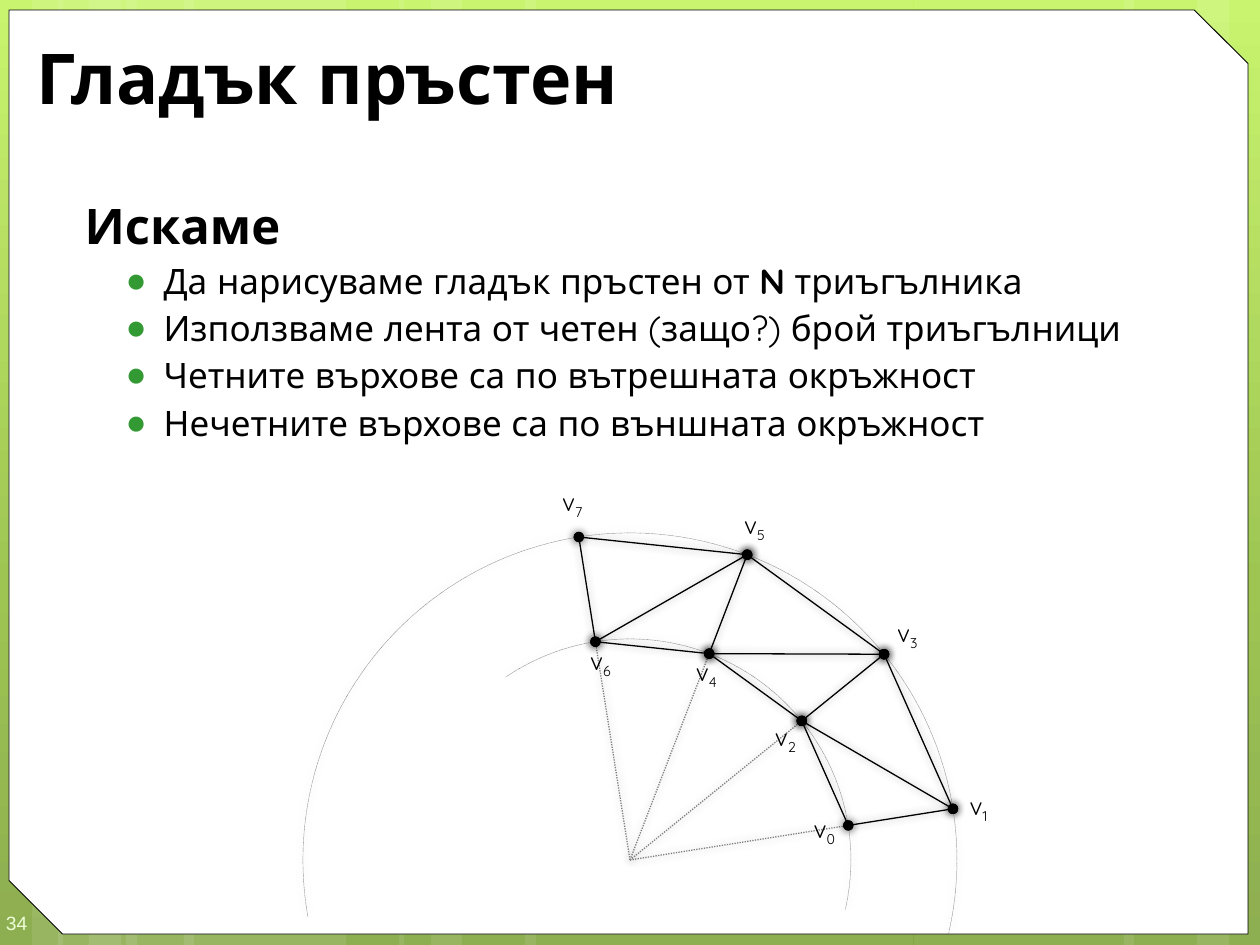
from copy import deepcopy
from math import cos, radians, sin

from lxml.etree import SubElement
from pptx import Presentation
from pptx.dml.color import RGBColor
from pptx.enum.dml import MSO_LINE
from pptx.enum.shapes import MSO_CONNECTOR, MSO_SHAPE
from pptx.enum.text import MSO_ANCHOR, MSO_AUTO_SIZE, PP_ALIGN
from pptx.oxml.ns import qn
from pptx.util import Emu, Pt

EMU_PER_PX = 914400 / 126
FONT = "Quicksand"
BLACK = RGBColor(0, 0, 0)
WHITE = RGBColor(255, 255, 255)
GRAY = RGBColor(0x80, 0x80, 0x80)
PALE_GREEN = RGBColor(0xEE, 0xFF, 0xD6)
BACKGROUND_STOPS = [
    (0, RGBColor(0xC3, 0xF3, 0x5F)),
    (0.62, RGBColor(0x93, 0xBF, 0x3F)),
    (1, RGBColor(0x81, 0xA5, 0x3E)),
]
BULLET_GREEN = "339933"

# left edge and width of each background stripe
STRIPES = [(126, 220), (0, 63), (32, 105), (184, 220), (58, 63), (89, 105),
           (914, 220), (1197, 63), (1124, 105), (525, 388), (399, 63), (431, 105)]

CENTER = (630, 860)
INNER_RADIUS, OUTER_RADIUS = 221, 327
FIRST_ANGLE, ANGLE_STEP = 9, 30
VERTEX_COUNT = 8
LABEL_POSITIONS = [(781, 808), (935, 785), (742, 716), (864, 612),
                   (663, 651), (711, 504), (557, 640), (529, 481)]

ITEMS = [
    ["Да нарисуваме гладък пръстен от ", "N", " триъгълника"],
    ["Използваме лента от четен (защо?) брой триъгълници"],
    ["Четните върхове са по вътрешната окръжност"],
    ["Нечетните върхове са по външната окръжност"],
]


def px(*lengths):
    return [Emu(round(length * EMU_PER_PX)) for length in lengths]


def place(shape, *box):
    shape.left, shape.top, shape.width, shape.height = px(*box)


def format_font(font, size, color=BLACK, bold=False, name=FONT):
    font.name, font.size, font.bold = name, Pt(size), bold
    font.color.rgb = color


def indent(paragraph, margin, hanging=0):
    properties = paragraph._p.get_or_add_pPr()
    for name, length in zip(("marL", "indent"), px(margin, -hanging)):
        properties.set(name, str(length))
    return properties


def add_soft_shadow(shape):
    effects = SubElement(shape.element.spPr, qn("a:effectLst"))
    shadow = SubElement(effects, qn("a:outerShdw"), blurRad=str(Pt(5)), dist="0", dir="0")
    color = SubElement(shadow, qn("a:srgbClr"), val="000000")
    SubElement(color, qn("a:alpha"), val="40000")


def paint_background(slide):
    fill = slide.background.fill
    fill.gradient()
    fill.gradient_angle = 270
    stop_list = slide.element.find(".//" + qn("a:gsLst"))
    stop_list.append(deepcopy(stop_list[-1]))
    for stop, (position, color) in zip(fill.gradient_stops, BACKGROUND_STOPS):
        stop.position = position
        stop.color.rgb = color


def add_stripe(slide, left, width):
    stripe = slide.shapes.add_shape(MSO_SHAPE.RECTANGLE, *px(left, 0, width, 945))
    stripe.shadow.inherit = False
    stripe.fill.solid()
    stripe.fill.fore_color.rgb = WHITE
    color = stripe.element.spPr.find(".//" + qn("a:srgbClr"))
    SubElement(color, qn("a:alpha"), val="10000")
    stripe.line.fill.background()


def add_panel(slide):
    panel = slide.shapes.add_shape(MSO_SHAPE.SNIP_2_DIAG_RECTANGLE, *px(9, 10, 1239, 924))
    panel.adjustments[0], panel.adjustments[1] = 0, 0.058
    panel.shadow.inherit = False
    panel.fill.solid()
    panel.fill.fore_color.rgb = WHITE
    panel.line.color.rgb = BLACK
    panel.line.width = Pt(0.5)


def add_page_number(slide):
    box = slide.shapes.add_textbox(*px(0, 895, 73, 50))
    frame = box.text_frame
    frame.word_wrap = True
    frame.vertical_anchor = MSO_ANCHOR.MIDDLE
    frame.margin_left, frame.margin_top, frame.margin_right, frame.margin_bottom = px(6, 19, 0, 13)
    frame.text = "34"
    format_font(frame.paragraphs[0].runs[0].font, 11, PALE_GREEN, name="Arial")


def fill_title(slide):
    title = slide.shapes.title
    place(title, 24, 32, 1193, 89)
    frame = title.text_frame
    frame.auto_size = MSO_AUTO_SIZE.NONE
    frame.vertical_anchor = MSO_ANCHOR.MIDDLE
    frame.text = "Гладък пръстен"
    frame.paragraphs[0].alignment = PP_ALIGN.LEFT
    format_font(frame.paragraphs[0].runs[0].font, 40, bold=True)


def fill_body(body):
    place(body, 63, 189, 1187, 746)
    frame = body.text_frame
    frame.auto_size = MSO_AUTO_SIZE.NONE
    frame.text = "Искаме"
    heading = frame.paragraphs[0]
    SubElement(indent(heading, 9), qn("a:buNone"))
    heading.space_before = Pt(0)
    format_font(heading.runs[0].font, 28, bold=True)
    for parts in ITEMS:
        paragraph = frame.add_paragraph()
        paragraph.level = 1
        properties = indent(paragraph, 88, 38)
        color = SubElement(properties, qn("a:buClr"))
        SubElement(color, qn("a:srgbClr"), val=BULLET_GREEN)
        SubElement(properties, qn("a:buChar"), char="●")
        paragraph.space_before = Pt(3)
        for part in parts:
            run = paragraph.add_run()
            run.text = part
            format_font(run.font, 20, bold=part == "N")


def add_arc(slide, radius, start_angle, end_angle):
    """Draw an arc about CENTER; angles are in degrees, clockwise from the right."""
    x, y = CENTER
    arc = slide.shapes.add_shape(
        MSO_SHAPE.ARC, *px(x - radius, y - radius, 2 * radius, 2 * radius))
    for index, angle in enumerate((start_angle, end_angle)):
        arc.adjustments[index] = angle * 0.6
    arc.fill.background()
    arc.line.color.rgb = GRAY
    arc.line.width = Pt(0.25)
    arc.line.dash_style = MSO_LINE.ROUND_DOT
    add_soft_shadow(arc)


def add_line(slide, start, end, color):
    line = slide.shapes.add_connector(MSO_CONNECTOR.STRAIGHT, *px(*start, *end))
    line.line.color.rgb = color
    line.line.width = Pt(0.75)
    add_soft_shadow(line)
    return line


def add_spoke(slide, vertex):
    add_line(slide, CENTER, vertex, GRAY).line.dash_style = MSO_LINE.ROUND_DOT


def add_edge(slide, start, end):
    edge = add_line(slide, start, end, BLACK)
    outline = edge.element.spPr.find(qn("a:ln"))
    for tag in ("a:headEnd", "a:tailEnd"):
        SubElement(outline, qn(tag), type="oval")


def add_label(slide, index, position):
    frame = slide.shapes.add_textbox(*px(*position, 78, 43)).text_frame
    frame.word_wrap = True
    paragraph = frame.paragraphs[0]
    paragraph.alignment = PP_ALIGN.CENTER
    indent(paragraph, 9)
    for text in ("v", str(index)):
        run = paragraph.add_run()
        run.text = text
        format_font(run.font, 14)
    run.font._element.set("baseline", "-25000")


def ring_vertex(index):
    """Even vertices lie on the inner circle, odd ones on the outer circle."""
    radius = OUTER_RADIUS if index % 2 else INNER_RADIUS
    angle = radians(FIRST_ANGLE + ANGLE_STEP * (index // 2))
    return CENTER[0] + radius * cos(angle), CENTER[1] - radius * sin(angle)


def add_ring(slide):
    add_arc(slide, OUTER_RADIUS, 170, 13)
    add_arc(slide, INNER_RADIUS, 235.8, 13)
    vertices = [ring_vertex(index) for index in range(VERTEX_COUNT)]
    for vertex in vertices[::2]:
        add_spoke(slide, vertex)
    for step in (1, 2):
        for start, end in zip(vertices, vertices[step:]):
            add_edge(slide, start, end)
    for index, position in enumerate(LABEL_POSITIONS):
        add_label(slide, index, position)


def main():
    presentation = Presentation()
    presentation.slide_width, presentation.slide_height = px(1260, 945)
    slide = presentation.slides.add_slide(presentation.slide_layouts[1])
    title, body = slide.placeholders
    paint_background(slide)
    for left, width in STRIPES:
        add_stripe(slide, left, width)
    add_panel(slide)
    add_page_number(slide)
    for placeholder in (title, body):
        slide.shapes.element.append(placeholder.element)  # bring in front of the panel
    fill_title(slide)
    fill_body(body)
    add_ring(slide)
    presentation.save("out.pptx")


if __name__ == "__main__":
    main()
